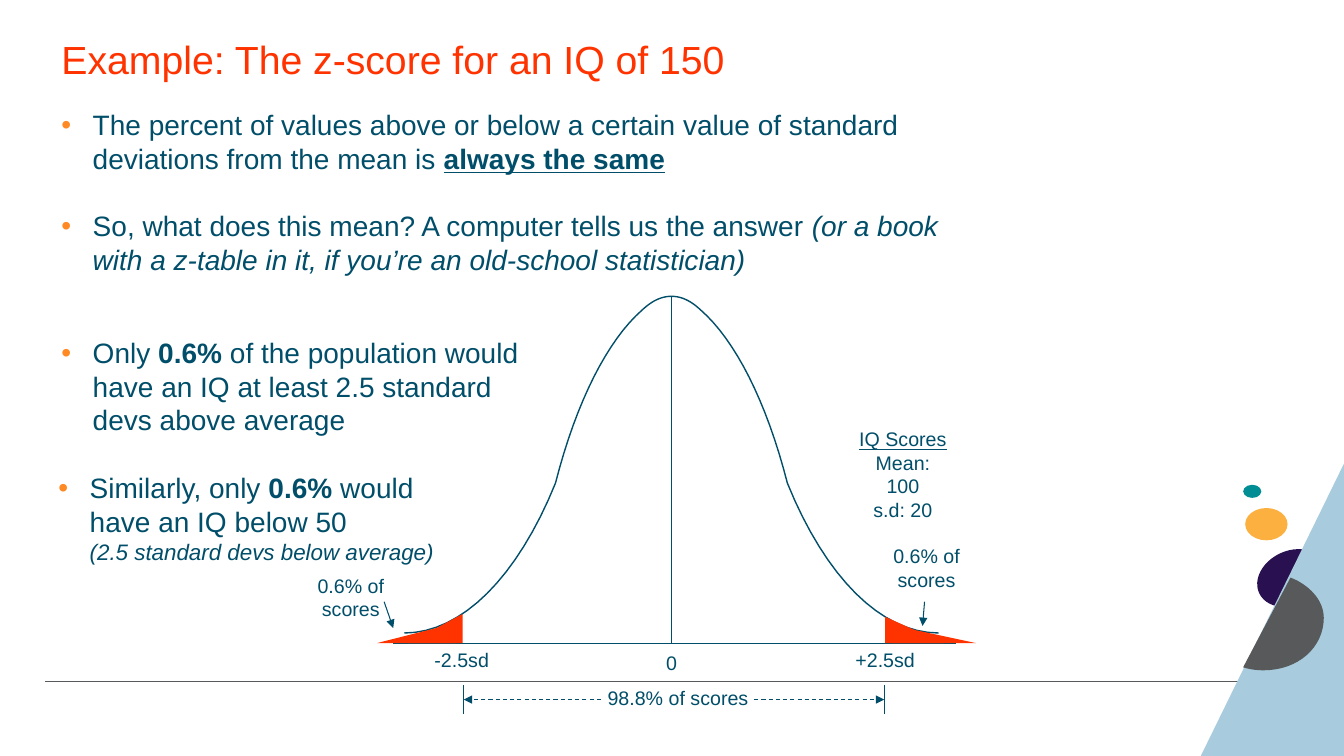
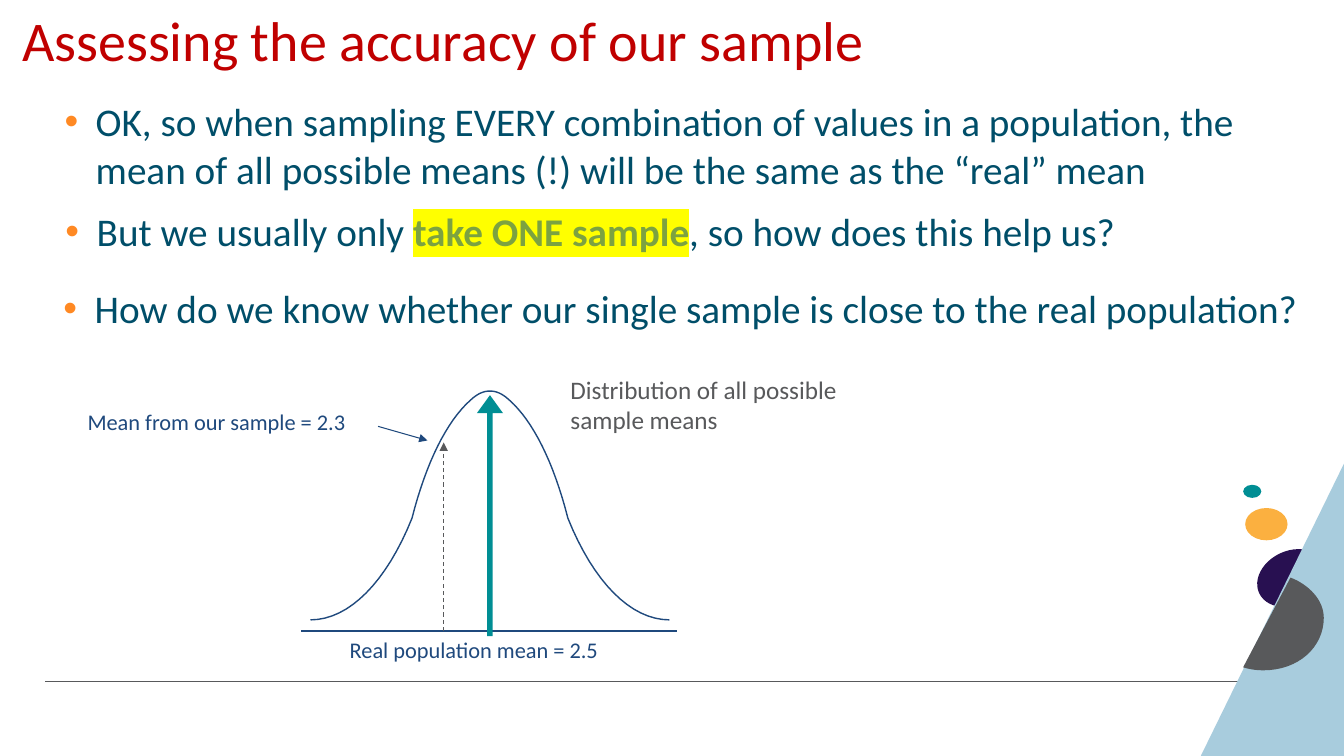
from pptx import Presentation
from pptx import util as u
from pptx.dml.color import RGBColor
from pptx.enum import dml, shapes, text
from pptx.oxml.ns import qn
from lxml import etree

TEAL_INK = RGBColor(0x00, 0x4E, 0x69)
NAVY = RGBColor(0x1F, 0x49, 0x7D)
GREY = RGBColor(0x58, 0x59, 0x5B)
ORANGE_RED = RGBColor(0xFF, 0x33, 0x00)
DARK_RED = RGBColor(0xC0, 0x00, 0x00)
BULLET = RGBColor(0xFF, 0x89, 0x23)
GREEN = RGBColor(0x7C, 0xA2, 0x41)
YELLOW = RGBColor(0xFF, 0xFF, 0x00)
PURPLE = RGBColor(0x28, 0x10, 0x51)
AMBER = RGBColor(0xFB, 0xB0, 0x40)
TEAL = RGBColor(0x00, 0x8E, 0x94)
PALE_BLUE = RGBColor(0xA8, 0xCC, 0xDD)

SHAPE = shapes.MSO_SHAPE
CENTER = text.PP_ALIGN.CENTER
HANG = 0.31
INSET = (0.1, 0.05)

IQ_TITLE = {"name": "Arial", "size": u.Pt(28), "color": ORANGE_RED}
IQ_BODY = {"name": "Arial", "size": u.Pt(20), "color": TEAL_INK}
IQ_LABEL = {**IQ_BODY, "size": u.Pt(14)}
SAMPLE_TITLE = {"name": "Calibri", "size": u.Pt(40), "color": DARK_RED}
SAMPLE_BODY = {"name": "Calibri", "size": u.Pt(28), "color": TEAL_INK}
SAMPLE_LABEL = {**SAMPLE_BODY, "size": u.Pt(16), "color": NAVY}
CURVE_NOTE = {**SAMPLE_BODY, "size": u.Pt(18), "color": GREY}

HALF_BELL = [
    [(1, 1), (0.785, 1), (0.577, 0.835), (0.434, 0.555)],
    [(0.434, 0.555), (0.355, 0.31), (0.238, 0.13), (0.11, 0.041)],
    [(0.11, 0.041), (0.075, 0.015), (0.04, 0), (0, 0)],
]
GREY_ARC = [
    [(12.8, 5.73), (12.98, 5.8), (13.13, 5.95), (13.13, 6.13)],
    [(13.13, 6.13), (13.13, 6.42), (12.88, 6.65), (12.53, 6.65)],
    [(12.53, 6.65), (12.46, 6.65), (12.39, 6.64), (12.33, 6.62)],
]


def inches(values):
    return [u.Inches(value) for value in values]


def trace(curves, steps=16):
    points = [curves[0][0]]
    for curve in curves:
        for step in range(1, steps + 1):
            t = step / steps
            weights = ((1 - t) ** 3, 3 * t * (1 - t) ** 2, 3 * t * t * (1 - t), t ** 3)
            points.append(tuple(sum(w * point[axis] for w, point in zip(weights, curve))
                                for axis in (0, 1)))
    return points


def add_outline(page, points, close):
    corners = [inches(point) for point in points]
    builder = page.shapes.build_freeform(*corners[0])
    builder.add_line_segments(corners[1:], close=close)
    outline = builder.convert_to_shape()
    outline.shadow.inherit = False
    return outline


def paint(shape, color):
    shape.shadow.inherit = False
    shape.fill.solid()
    shape.fill.fore_color.rgb = color
    shape.line.fill.background()


def add_solid(page, kind, box, color, mirrored=False, rotation=0):
    shape = page.shapes.add_shape(kind, *inches(box))
    paint(shape, color)
    shape.rotation = rotation
    if mirrored:
        shape.element.spPr.find(qn("a:xfrm")).set("flipH", "1")
    return shape


def add_rule(page, start, end, color, arrow=False, dashed=False):
    rule = page.shapes.add_connector(shapes.MSO_CONNECTOR.STRAIGHT, *inches(start + end))
    rule.line.color.rgb = color
    rule.line.width = u.Pt(0.75)
    if dashed:
        rule.line.dash_style = dml.MSO_LINE.DASH
    properties = rule.element.spPr
    if arrow:
        etree.SubElement(properties.find(qn("a:ln")), qn("a:tailEnd"), type="triangle")
    etree.SubElement(properties, qn("a:effectLst"))


def color_element(parent, tag, color):
    element = etree.SubElement(parent, qn(tag))
    etree.SubElement(element, qn("a:srgbClr"), val=str(color))
    return element


def set_indent(para, bullet):
    properties = para._p.get_or_add_pPr()
    properties.set("marL", str(u.Inches(HANG)))
    properties.set("indent", str(-u.Inches(HANG) if bullet else 0))
    if bullet:
        color_element(properties, "a:buClr", BULLET)
        etree.SubElement(properties, qn("a:buFont"), typeface="Arial")
        etree.SubElement(properties, qn("a:buChar"), char="•")


def format_span(span, style):
    for name, value in style.items():
        if name == "color":
            span.font.color.rgb = value
        elif name == "highlight":
            properties = span._r.get_or_add_rPr()
            mark = color_element(properties, "a:highlight", value)
            properties.find(qn("a:solidFill")).addnext(mark)
        else:
            setattr(span.font, name, value)


def add_text(page, box, paras, style, inset=(0, 0), **layout):
    frame = page.shapes.add_textbox(*inches(box)).text_frame
    frame.word_wrap = True
    frame.margin_left = frame.margin_right = u.Inches(inset[0])
    frame.margin_top = frame.margin_bottom = u.Inches(inset[1])
    for index, spans in enumerate(paras):
        para = frame.paragraphs[0] if index == 0 else frame.add_paragraph()
        for name, value in layout.items():
            if name != "space_before" or index:
                setattr(para, name, value)
        for words, extra in spans:
            span = para.add_run()
            span.text = words
            format_span(span, {**style, **extra})
    return frame


def add_bullets(page, box, paras, style, plain=(), **layout):
    frame = add_text(page, box, paras, style, **layout)
    for index, para in enumerate(frame.paragraphs):
        set_indent(para, index not in plain)


def add_label(page, box, words, style, **layout):
    add_text(page, box, [[(words, {})]], style, INSET, **layout)


def add_frame(page):
    add_rule(page, (0.45, 6.76), (12.88, 6.76), GREY)
    add_solid(page, SHAPE.OVAL, (12.54, 5.38, 0.54, 0.71), PURPLE, rotation=65)
    add_solid(page, SHAPE.OVAL, (12.35, 5.04, 0.42, 0.32), AMBER)
    add_solid(page, SHAPE.OVAL, (12.33, 4.81, 0.18, 0.13), TEAL)
    add_solid(page, SHAPE.RIGHT_TRIANGLE, (11.91, 4.6, 1.42, 2.9), PALE_BLUE, mirrored=True)
    paint(add_outline(page, trace(GREY_ARC), True), GREY)


def add_bell(page, box, color):
    left, top, width, height = box
    center = left + width / 2
    half = trace(HALF_BELL)
    unit = [(-x, y) for x, y in half] + half[-2::-1]
    points = [(center + x * width / 2, top + y * height) for x, y in unit]
    bell = add_outline(page, points, False)
    bell.fill.background()
    bell.line.color.rgb = color
    bell.line.width = u.Pt(1)


def add_iq_chart(page, box):
    left, top, width, height = box
    center, base = left + width / 2, top + height
    axis = base + 0.1
    add_bell(page, box, TEAL_INK)
    add_rule(page, (center - 2.76, axis), (center + 2.82, axis), TEAL_INK)
    add_rule(page, (center, top), (center, axis), TEAL_INK)
    for offset, span, rise in ((-2.92, 0.79, 0.2), (-2.61, 0.54, 0.29),
                               (2.18, 0.84, 0.18), (2.12, 0.58, 0.26)):
        add_solid(page, SHAPE.RIGHT_TRIANGLE, (center + offset, axis - rise, span, rise),
                  ORANGE_RED, mirrored=offset < 0)
    for offset, drop, words in ((-2.08, 0.1, "-2.5sd"), (0, 0.13, "0"), (2.12, 0.1, "+2.5sd")):
        add_label(page, (center + offset - 0.5, base + drop, 1, 0.34), words, IQ_LABEL,
                  alignment=CENTER)
    for offset, rise in ((-3.75, 0.64), (1.96, 0.93)):
        add_label(page, (center + offset, base - rise, 1.14, 0.57), "0.6% of scores", IQ_LABEL,
                  alignment=CENTER)
    add_rule(page, (center - 2.85, base - 0.31), (center - 2.76, base - 0.05), TEAL_INK, arrow=True)
    add_rule(page, (center + 2.51, base - 0.31), (center + 2.49, base - 0.07), TEAL_INK, arrow=True)
    add_label(page, (center - 0.94, base + 0.48, 2.01, 0.33), "98.8% of scores", IQ_LABEL,
              alignment=CENTER)
    for edge, inner in ((-2.06, -0.7), (2.11, 0.82)):
        add_rule(page, (center + edge, base + 0.52), (center + edge, base + 0.8), TEAL_INK)
        add_rule(page, (center + inner, base + 0.66), (center + edge, base + 0.66), TEAL_INK,
                 arrow=True, dashed=True)


def add_sample_chart(page, box):
    left, top, width, height = box
    center, base = left + width / 2, top + height
    axis = base + 0.11
    add_bell(page, box, NAVY)
    add_rule(page, (center - 1.87, axis), (center + 1.85, axis), NAVY)
    arrow = add_solid(page, SHAPE.UP_ARROW, (center - 0.13, top + 0.04, 0.26, 2.39), TEAL)
    arrow.adjustments[0] = 0.21
    arrow.adjustments[1] = 0.69
    add_rule(page, (center - 0.46, axis), (center - 0.46, top + 0.51), GREY,
             arrow=True, dashed=True)
    add_rule(page, (center - 1.11, top + 0.35), (center - 0.62, top + 0.49), NAVY, arrow=True)
    add_label(page, (center - 4.09, top + 0.12, 2.99, 0.37), "Mean from our sample = 2.3",
              SAMPLE_LABEL)
    add_label(page, (center - 1.49, axis, 2.92, 0.37), "Real population mean = 2.5",
              SAMPLE_LABEL)
    add_label(page, (center + 0.7, top - 0.22, 2.84, 0.7),
              "Distribution of all possible sample means", CURVE_NOTE)


def build_iq_slide(page):
    add_frame(page)
    add_text(page, (0.61, 0.35, 7.72, 0.84),
             [[("Example: The z-score for an IQ of 150", {})]], IQ_TITLE)
    bold, italic = {"bold": True}, {"italic": True}
    add_bullets(page, (0.61, 1.07, 8.92, 1.73), [
        [("The percent of values above or below a certain value of standard deviations "
          "from the mean is ", {}), ("always the same", {**bold, "underline": True})],
        [("So, what does this mean? A computer tells us the answer ", {}),
         ("(or a book with a z-table in it, if you’re an old-school statistician)", italic)],
    ], IQ_BODY, space_before=u.Pt(24))
    add_bullets(page, (0.61, 3.33, 4.81, 1.06), [
        [("Only ", {}), ("0.6%", bold),
         (" of the population would have an IQ at least 2.5 standard devs above average", {})],
    ], IQ_BODY)
    add_bullets(page, (0.58, 4.67, 4.08, 1.06), [
        [("Similarly, only ", {}), ("0.6%", bold), (" would have an IQ below 50", {})],
        [("(2.5 standard devs below average)", {**italic, "size": u.Pt(16)})],
    ], IQ_BODY, plain=(1,))
    add_iq_chart(page, (4.01, 2.94, 5.3, 3.34))
    add_text(page, (8.4, 4.19, 1.11, 1.03),
             [[("IQ Scores", {"underline": True})], [("Mean: 100", {})], [("s.d: 20", {})]],
             IQ_LABEL, INSET, alignment=CENTER)


def build_sample_slide(page):
    add_frame(page)
    add_text(page, (0.22, 0.18, 12.62, 0.55),
             [[("Assessing the accuracy of our sample", {})]], SAMPLE_TITLE, line_spacing=0.8)
    marked = {"color": GREEN, "bold": True, "highlight": YELLOW}
    for box, spans in (
        ((0.64, 0.97, 12.2, 1.1),
         [("OK, so when sampling EVERY combination of values in a population, the mean of all "
           "possible means (!) will be the same as the “real” mean", {})]),
        ((0.65, 2.06, 12.6, 0.82),
         [("But we usually only ", {}), ("take ONE sample", marked),
          (", so how does this help us?", {})]),
        ((0.63, 2.82, 12.34, 0.82),
         [("How do we know whether our single sample is close to the real population?", {})]),
    ):
        add_bullets(page, box, [spans], SAMPLE_BODY)
    add_sample_chart(page, (3.08, 3.88, 3.56, 2.27))


def main():
    deck = Presentation()
    deck.slide_width, deck.slide_height = inches((13.33, 7.5))
    for build in (build_iq_slide, build_sample_slide):
        build(deck.slides.add_slide(deck.slide_layouts[6]))
    deck.save("out.pptx")


if __name__ == "__main__":
    main()
